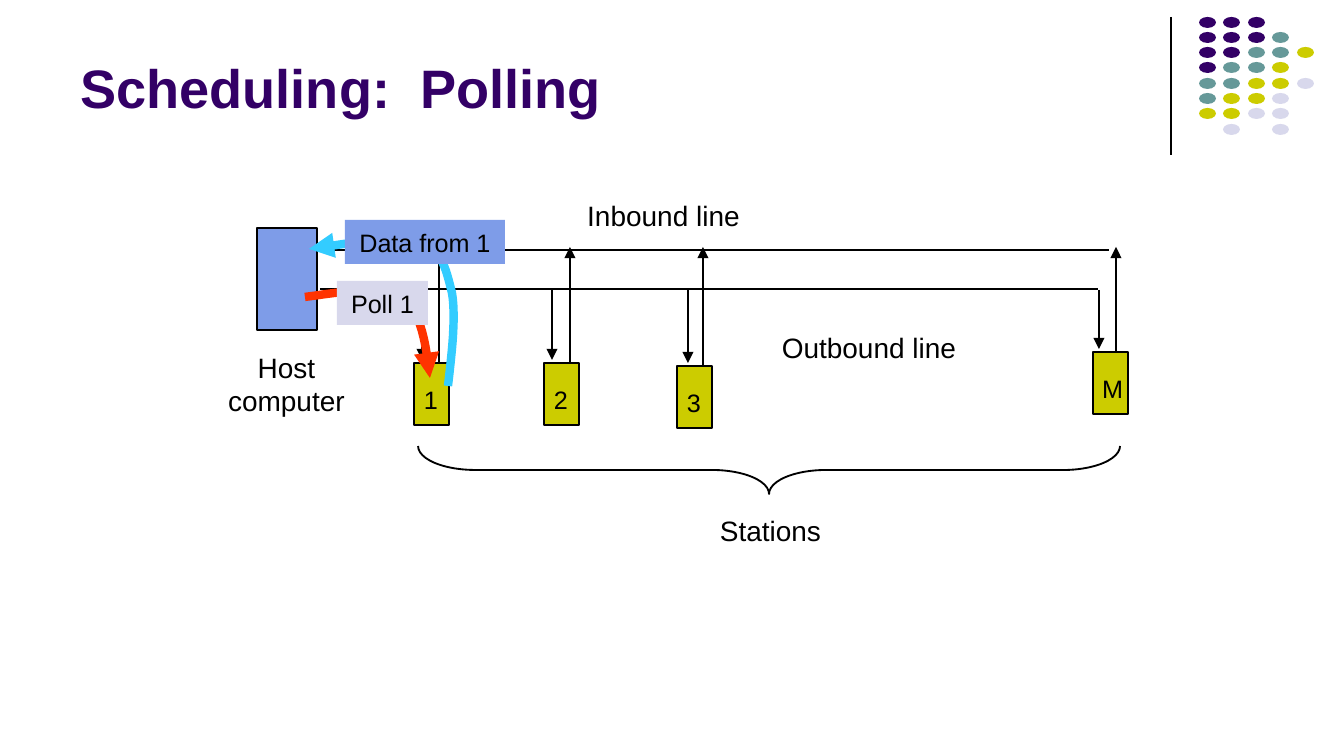
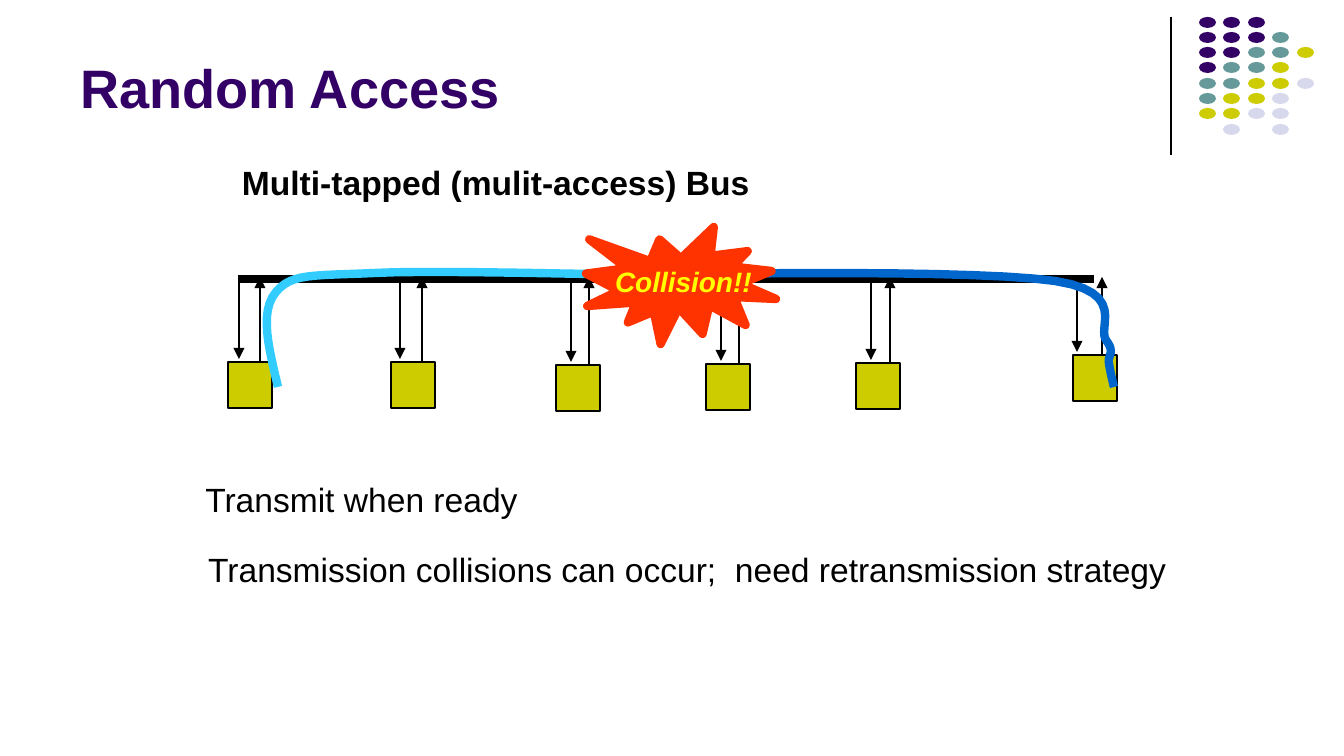
"""Build two slides on medium access: polling and random access."""
from lxml import etree
from pptx import Presentation
from pptx import util as u
from pptx.dml.color import RGBColor
from pptx.enum import shapes, text
from pptx.oxml.ns import qn

BLACK = RGBColor(0, 0, 0)
PLUM = RGBColor(0x33, 0x00, 0x66)
TEAL = RGBColor(0x66, 0x99, 0x99)
OLIVE = RGBColor(0xCC, 0xCC, 0x00)
PALE = RGBColor(0xD8, 0xD8, 0xEC)
BLUE = RGBColor(0x7E, 0x9C, 0xE8)
RED = RGBColor(0xFF, 0x33, 0x00)
CYAN = RGBColor(0x33, 0xCC, 0xFF)
NAVY = RGBColor(0x00, 0x66, 0xCC)
YELLOW = RGBColor(0xFF, 0xFF, 0x00)
FONT = "Arial"
KIND = shapes.MSO_SHAPE
THICK = 4.5
DOTS = ("PPP", "PPPT", "PPTTY", "PTTY", "TTYYL", "TYYL", "YYLL", " L L")
TONES = {"P": PLUM, "T": TEAL, "Y": OLIVE, "L": PALE}


def px(n):
    return u.Emu(round(n * 914400 / 134.4))


class Deck:
    """Style and current slide, with one method per kind of element."""

    def __init__(self):
        self.prs = Presentation()
        self.prs.slide_width, self.prs.slide_height = px(1344), px(756)
        self.lay = self.prs.slide_layouts[5]

    def slide(self, name):
        page = self.prs.slides.add_slide(self.lay)
        self.shapes = page.shapes
        head = page.shapes.title
        head.left, head.top, head.width, head.height = map(px, (67, 13, 1109, 113))
        self.style(head, name, 29, PLUM, text.PP_ALIGN.LEFT, bold=True)
        head.text_frame.vertical_anchor = text.MSO_ANCHOR.BOTTOM
        head.text_frame.auto_size = text.MSO_AUTO_SIZE.NONE

    def brand(self):
        group = self.shapes.add_group_shape()
        page, self.shapes = self.shapes, group.shapes
        self.line((1171, 17), (1171, 155), wide=0.75)
        for r, row in enumerate(DOTS):
            for c, key in enumerate(row):
                if key in TONES:
                    spot = (1199 + 49 * c // 2, 17 + 107 * r // 7, 17, 11)
                    self.shape(spot, TONES[key], None, KIND.OVAL)
        self.lay.shapes.element.append(group.element)
        self.shapes = page

    def style(self, box, words, size, color, align, bold=False, slant=False):
        box.text_frame.text = words
        for para in box.text_frame.paragraphs:
            para.alignment = align
            for run in para.runs:
                font = run.font
                font.name, font.size = FONT, u.Pt(size)
                font.bold, font.italic = bold, slant
                font.color.rgb = color

    def label(self, at, words, size, color=BLACK, fill=None, **look):
        box = self.shapes.add_textbox(*map(px, at))
        self.style(box, words, size, color, text.PP_ALIGN.CENTER, **look)
        frame = box.text_frame
        frame.word_wrap = False
        frame.auto_size = text.MSO_AUTO_SIZE.SHAPE_TO_FIT_TEXT
        frame.vertical_anchor = text.MSO_ANCHOR.MIDDLE
        if fill:
            box.fill.solid()
            box.fill.fore_color.rgb = fill
        return box

    def note(self, at, words, size, inset):
        box = self.label(at, words, size, bold=True)
        frame = box.text_frame
        frame.word_wrap = True
        frame.paragraphs[0].alignment = text.PP_ALIGN.LEFT
        frame.margin_left, frame.margin_right = px(inset), px(9)
        frame.margin_top = frame.margin_bottom = px(5)

    def shape(self, at, fill, edge=BLACK, kind=KIND.RECTANGLE, wide=1):
        item = self.shapes.add_shape(kind, *map(px, at))
        item.shadow.inherit = False
        if fill:
            item.fill.solid()
            item.fill.fore_color.rgb = fill
        else:
            item.fill.background()
        if edge:
            self.stroke(item, edge, wide)
        else:
            item.line.fill.background()
        return item

    def stroke(self, item, color, wide, arrow=False):
        item.line.color.rgb = color
        item.line.width = u.Pt(wide)
        if arrow:
            line = item.element.spPr.find(qn("a:ln"))
            etree.SubElement(line, qn("a:tailEnd"), type="triangle")

    def line(self, start, end, wide=1, arrow=False):
        item = self.shapes.add_connector(
            shapes.MSO_CONNECTOR.STRAIGHT, *map(px, start + end))
        self.stroke(item, BLACK, wide, arrow)
        etree.SubElement(item.element.spPr, qn("a:effectLst"))

    def curve(self, color, start, *bends):
        """Trace cubic Bezier bends and end them with an arrowhead."""
        steps = 12
        spots, a = [], start
        for b, c, d in bends:
            for i in range(1, steps + 1):
                t = i / steps
                s = 1 - t
                spots.append(tuple(
                    px(s**3 * e + 3 * s * s * t * f + 3 * s * t * t * g + t**3 * h)
                    for e, f, g, h in zip(a, b, c, d)))
            a = d
        trace = self.shapes.build_freeform(*map(px, start), scale=1.0)
        trace.add_line_segments(spots, close=False)
        item = trace.convert_to_shape()
        item.shadow.inherit = False
        item.fill.background()
        self.stroke(item, color, THICK, arrow=True)

    def tap(self, at, down, up, source, sink):
        """Draw a station with its receiving and sending arrows."""
        self.shape(at, OLIVE)
        top = at[1]
        self.line((down, source), (down, top - 3), arrow=True)
        self.line((up, top), (up, sink), arrow=True)


def polling(deck):
    deck.slide("Scheduling:  Polling")
    deck.shape((257, 228, 60, 102), BLUE)
    deck.line((320, 289), (1098, 289))
    deck.line((320, 250), (1109, 250))
    for name, x, y, down, up in (
            ("1", 414, 363, 422, 439), ("2", 544, 363, 552, 570),
            ("3", 677, 366, 688, 703), ("M", 1093, 352, 1099, 1116)):
        deck.tap((x, y, 35, 62), down, up, 290, 247)
        deck.label((x - 4, y + 14, 42, 44), name, 13.5)
    for at, words in (
            ((573, 192, 181, 47), "Inbound line"),
            ((767, 324, 204, 47), "Outbound line"),
            ((214, 343, 145, 82), "Host\ncomputer"),
            ((706, 507, 129, 47), "Stations")):
        deck.label(at, words, 15)
    brace = deck.shape((745, 119, 48, 702), None, kind=KIND.RIGHT_BRACE)
    brace.rotation = 90
    brace.adjustments[0] = 1.19
    deck.curve(RED, (305, 297),
               ((343, 292), (380, 285), (402, 298)),
               ((422, 312), (426, 345), (430, 378)))
    deck.label((337, 281, 91, 44), "Poll 1", 13.5, fill=PALE)
    deck.curve(CYAN, (448, 386),
               ((452, 352), (456, 317), (452, 293)),
               ((446, 269), (442, 249), (418, 241)),
               ((395, 234), (328, 247), (309, 249)))
    deck.label((345, 220, 160, 44), "Data from 1", 13.5, fill=BLUE)


def random_access(deck):
    deck.slide("Random Access")
    deck.line((238, 279), (1094, 279), wide=THICK)
    for x, y, down, up in (
            (228, 362, 239, 260), (391, 362, 400, 422), (556, 365, 571, 589),
            (706, 364, 721, 739), (856, 363, 871, 890), (1073, 355, 1077, 1102)):
        deck.tap((x, y, 44, 46), down, up, 281, 277)
    deck.note((214, 157, 591, 51), "Multi-tapped (mulit-access) Bus", 18, 28)
    deck.label((190, 472, 343, 54), "Transmit when ready", 18)
    deck.curve(CYAN, (278, 387),
               ((269, 349), (259, 312), (276, 292)),
               ((292, 273), (313, 276), (376, 273)),
               ((439, 270), (606, 275), (653, 275)))
    deck.curve(NAVY, (1114, 387),
               ((1113, 383), (1110, 371), (1109, 363)),
               ((1107, 356), (1116, 353), (1106, 340)),
               ((1097, 327), (1128, 292), (1055, 281)),
               ((982, 270), (731, 273), (672, 275)))
    deck.shape((586, 227, 190, 117), RED, RED, KIND.EXPLOSION1, THICK)
    deck.label((601, 258, 165, 47), "Collision!!", 15, YELLOW, bold=True, slant=True)
    deck.label((190, 542, 995, 54),
               "Transmission collisions can occur;  need retransmission strategy", 18)


def main():
    deck = Deck()
    polling(deck)
    deck.brand()
    random_access(deck)
    deck.prs.save("out.pptx")


if __name__ == "__main__":
    main()
